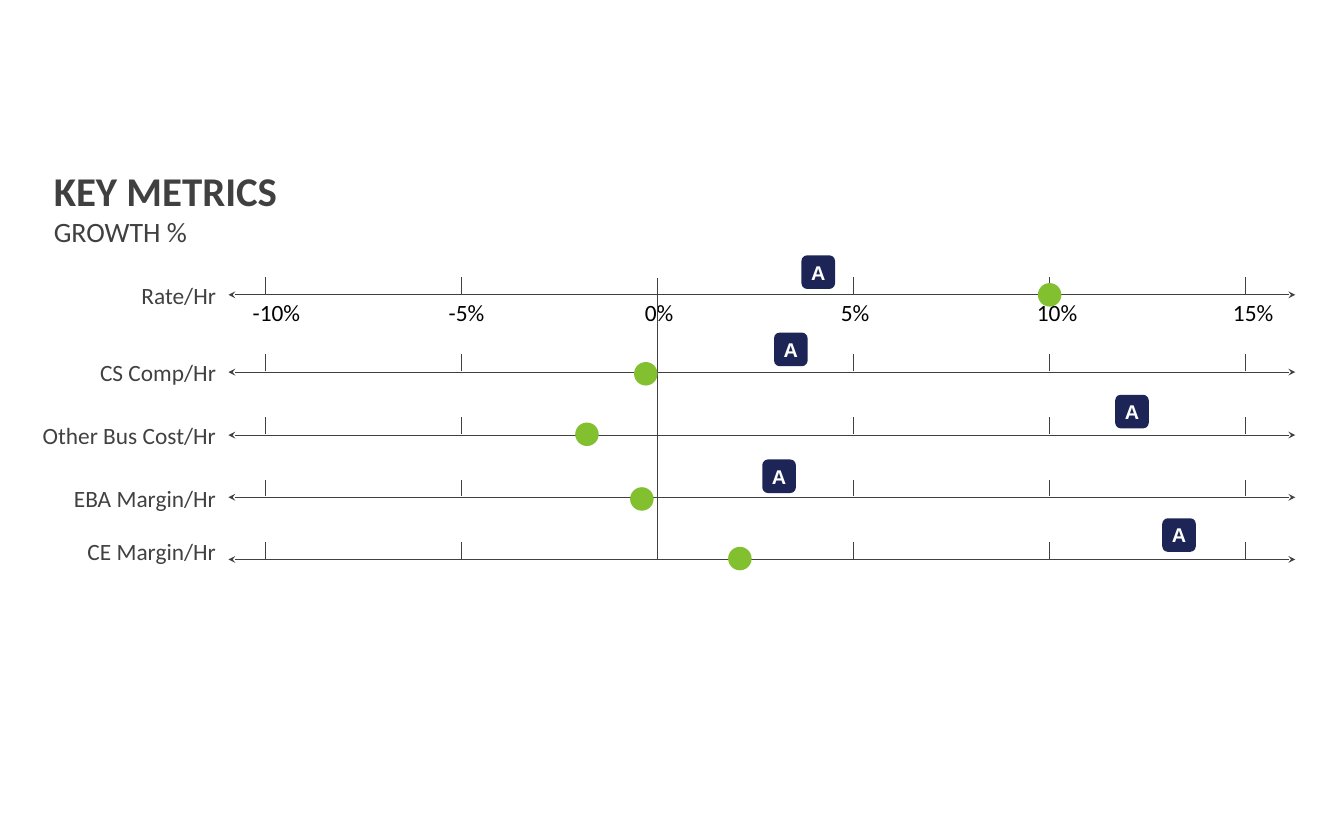
from collections import namedtuple

from lxml import etree
from pptx import Presentation, util as u
from pptx.dml.color import RGBColor
from pptx.enum import shapes, text
from pptx.oxml.ns import qn

COLORS = {"title": "404040", "label": "414141", "scale": "000000", "line": "404040",
          "badge": "1D2556", "dot": "82C030", "white": "FFFFFF"}
COLS, ROWS = 16, 10
AXIS_LEFT, AXIS_RIGHT = 2.72, 15.42
TICK_FIRST, TICK_LAST = 3.16, 14.83
TICK_LENGTH = 0.2
SCALE = [-10, -5, 0, 5, 10, 15]
BADGE_SIZE, DOT_SIZE = 0.4, 0.28

Metric = namedtuple("Metric", "label label_top axis growth dot_y target badge_y")
METRICS = [
    Metric("Rate/Hr", 3.3, 3.51, 10.0, 3.51, 4.1, 3.24),
    Metric("CS Comp/Hr", 4.21, 4.43, -0.3, 4.45, 3.4, 4.16),
    Metric("Other Bus Cost/Hr", 4.96, 5.18, -1.8, 5.17, 12.1, 4.9),
    Metric("EBA Margin/Hr", 5.71, 5.92, -0.4, 5.94, 3.1, 5.67),
    Metric("CE Margin/Hr", 6.35, 6.66, 2.1, 6.65, 13.3, 6.37),
]


def grid(*cells):
    """Turn alternating column and row counts into slide lengths."""
    units = (u.Inches(16) / COLS, u.Inches(10) / ROWS)
    return [round(n * units[i % 2]) for i, n in enumerate(cells)]


def value_x(percent):
    """Return the column at which a growth percentage falls."""
    share = (percent - SCALE[0]) / (SCALE[-1] - SCALE[0])
    return TICK_FIRST + share * (TICK_LAST - TICK_FIRST)


def style(p, size, color, font="Calibri", bold=False, align=text.PP_ALIGN.LEFT):
    """Format a paragraph and its runs."""
    p.alignment = align
    for r in p.runs:
        r.font.name, r.font.size, r.font.bold = font, u.Pt(size), bold
        r.font.color.rgb = RGBColor.from_string(COLORS[color])


def add_title(slide):
    """Place the two-line heading in the title placeholder."""
    sp = slide.shapes.title
    sp.left, sp.top, sp.width, sp.height = grid(0.54, 1.92, 12.48, 1.13)
    tf = sp.text_frame
    tf.text = "KEY METRICS\nGROWTH %"
    tf.vertical_anchor = text.MSO_ANCHOR.TOP
    tf.auto_size = text.MSO_AUTO_SIZE.NONE
    style(tf.paragraphs[0], 35, "title", bold=True)
    style(tf.paragraphs[1], 24, "title")


def add_label(slide, words, left, top, width, color, align=text.PP_ALIGN.LEFT):
    """Add a one-line text label."""
    sp = slide.shapes.add_textbox(*grid(left, top, width, 0.44))
    tf = sp.text_frame
    tf.word_wrap = True
    tf.text = words
    style(tf.paragraphs[0], 20, color, align=align)


def add_line(slide, x1, y1, x2, y2, arrows=False):
    """Draw a thin line, with arrowheads at both ends if asked."""
    line = slide.shapes.add_connector(shapes.MSO_CONNECTOR.STRAIGHT, *grid(x1, y1, x2, y2))
    line.line.width = u.Pt(1)
    line.line.color.rgb = RGBColor.from_string(COLORS["line"])
    if arrows:
        ln = line.line._get_or_add_ln()
        for end in ("a:headEnd", "a:tailEnd"):
            etree.SubElement(ln, qn(end), type="stealth")
    etree.SubElement(line._element.spPr, qn("a:effectLst"))


def add_marker(slide, kind, x, y, size, color):
    """Add a filled shape centred on a point."""
    sp = slide.shapes.add_shape(kind, *grid(x - size / 2, y - size / 2, size, size))
    sp.shadow.inherit = False
    sp.fill.solid()
    sp.fill.fore_color.rgb = RGBColor.from_string(COLORS[color])
    sp.line.fill.background()
    return sp


def add_badge(slide, x, y):
    """Add a rounded badge holding the letter A."""
    sp = add_marker(slide, shapes.MSO_SHAPE.ROUNDED_RECTANGLE, x, y, BADGE_SIZE, "badge")
    tf = sp.text_frame
    tf.margin_left = tf.margin_right = tf.margin_top = tf.margin_bottom = 0
    tf.vertical_anchor = text.MSO_ANCHOR.MIDDLE
    tf.text = "A"
    p = tf.paragraphs[0]
    style(p, 17, "white", "Arial", True, text.PP_ALIGN.CENTER)
    p.runs[0].font._element.set("spc", "-150")


def add_axis(slide, y):
    """Draw a double-headed axis with its ticks, leaving out zero."""
    add_line(slide, AXIS_LEFT, y, AXIS_RIGHT, y, arrows=True)
    for percent in SCALE:
        if percent:
            x = value_x(percent)
            add_line(slide, x, y - 0.01, x, y - 0.01 - TICK_LENGTH)


def main():
    """Build the key metrics slide."""
    prs = Presentation()
    prs.slide_width, prs.slide_height = grid(COLS, ROWS)
    slide = prs.slides.add_slide(prs.slide_layouts[5])
    add_title(slide)
    for m in METRICS:
        add_label(slide, m.label, 0, m.label_top, 2.67, "label", text.PP_ALIGN.RIGHT)
        add_badge(slide, value_x(m.target), m.badge_y)
    for percent in SCALE:
        add_label(slide, f"{percent}%", value_x(percent) - 0.25, 3.5, 1.06, "scale")
    for m in METRICS:
        add_axis(slide, m.axis)
    add_line(slide, value_x(0), METRICS[-1].axis, value_x(0), METRICS[0].axis - TICK_LENGTH)
    for m in METRICS:
        add_marker(slide, shapes.MSO_SHAPE.OVAL, value_x(m.growth), m.dot_y, DOT_SIZE, "dot")
    prs.save("out.pptx")


if __name__ == "__main__":
    main()
